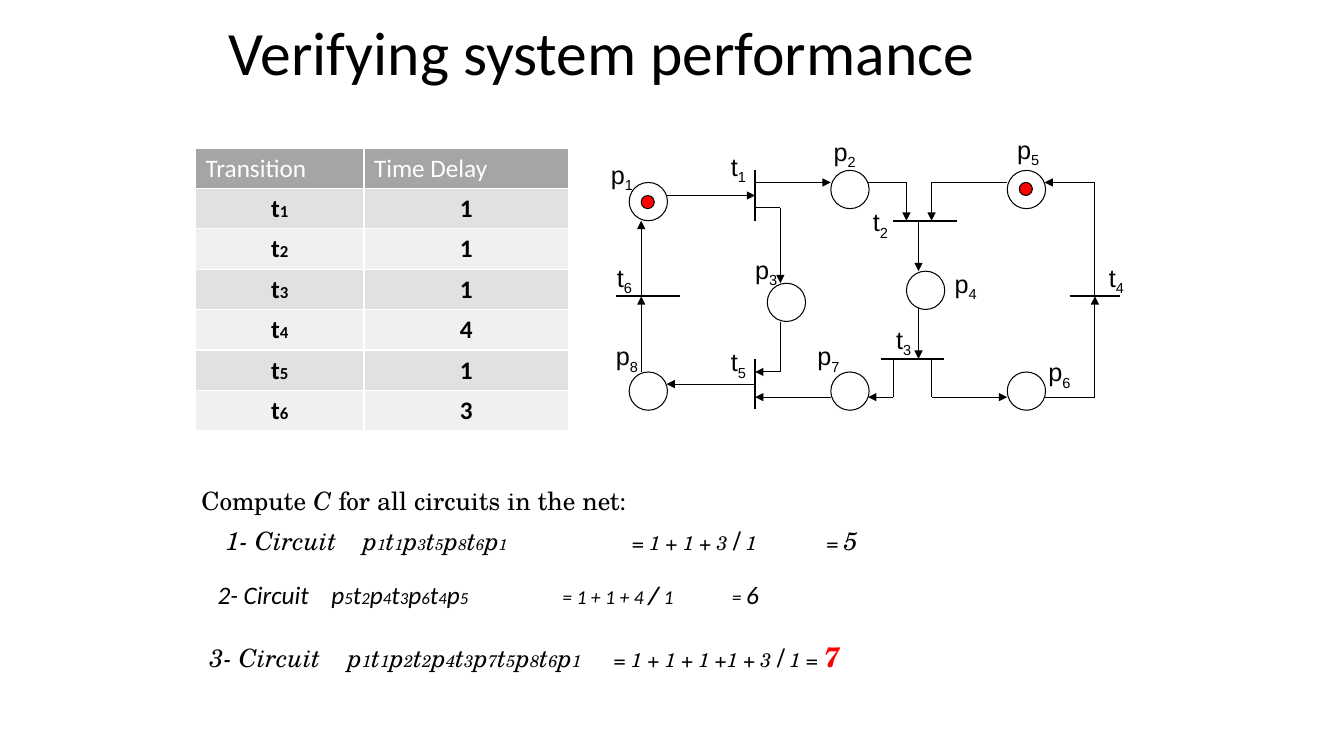
from dataclasses import dataclass

from lxml import etree
from pptx import Presentation
from pptx.dml.color import RGBColor
from pptx.enum.shapes import MSO_CONNECTOR, MSO_SHAPE
from pptx.enum.text import MSO_ANCHOR, PP_ALIGN
from pptx.oxml.ns import qn
from pptx.util import Inches, Pt

STRAIGHT = MSO_CONNECTOR.STRAIGHT
OVAL = MSO_SHAPE.OVAL
MIDDLE = MSO_ANCHOR.MIDDLE
CENTER = PP_ALIGN.CENTER


@dataclass(frozen=True)
class Theme:
    black: str = "000000"
    white: str = "FFFFFF"
    red: str = "FF0000"
    header: str = "A5A5A5"
    bands: tuple = ("E1E1E1", "F0F0F0")
    sans: str = "Calibri"
    serif: str = "TeX Gyre Schola"
    label: str = "Arial"
    title: float = 44
    result: float = 20
    body: float = 18
    formula: float = 14
    index: float = 12
    arc: float = 0.75
    bar: float = 1.5


THEME = Theme()
PLACE_SIZE = 0.38
TOKEN_SIZE = 0.13

DELAYS = [("1", "1"), ("2", "1"), ("3", "1"), ("4", "4"), ("5", "1"), ("6", "3")]
PLACES = [(6.24, 1.81), (8.24, 1.69), (7.61, 2.81), (8.99, 2.69),
          (9.99, 1.69), (9.99, 3.69), (8.24, 3.69), (6.24, 3.69)]
TOKENS = [(6.36, 1.94), (10.11, 1.81)]
LABELS = {
    "p1": (5.96, 1.53), "p2": (8.17, 1.3), "p3": (7.39, 2.47), "p4": (9.37, 2.61),
    "p5": (9.99, 1.28), "p6": (10.3, 3.49), "p7": (8.01, 3.33), "p8": (6.01, 3.33),
    "t1": (7.15, 1.45), "t2": (8.56, 2), "t3": (8.79, 3.17),
    "t4": (10.9, 2.55), "t5": (7.15, 3.39), "t6": (6.02, 2.55),
}
TRANSITIONS = [
    [(7.49, 2.19), (7.49, 1.69)], [(8.86, 2.19), (9.49, 2.19)],
    [(8.74, 3.56), (9.36, 3.56)], [(10.61, 2.94), (11.11, 2.94)],
    [(7.49, 4.06), (7.49, 3.56)], [(6.11, 2.94), (6.74, 2.94)],
]
ARCS = [
    [(6.36, 2.94), (6.36, 2.19)],
    [(6.36, 3.69), (6.36, 2.94)],
    [(6.61, 1.94), (7.49, 1.94)],
    [(7.49, 2.06), (7.74, 2.06), (7.74, 2.81)],
    [(7.74, 3.19), (7.74, 3.69), (7.49, 3.69)],
    [(7.49, 3.81), (6.61, 3.81)],
    [(7.49, 1.81), (8.24, 1.81)],
    [(8.24, 3.94), (7.49, 3.94)],
    [(8.61, 1.81), (8.99, 1.81), (8.99, 2.19)],
    [(9.11, 2.19), (9.11, 2.69)],
    [(9.11, 3.06), (9.11, 3.56)],
    [(8.86, 3.56), (8.86, 3.94), (8.61, 3.94)],
    [(9.99, 1.81), (9.24, 1.81), (9.24, 2.19)],
    [(9.24, 3.56), (9.24, 3.94), (9.99, 3.94)],
    [(10.86, 2.94), (10.86, 1.81), (10.36, 1.81)],
    [(10.36, 3.94), (10.86, 3.94), (10.86, 2.94)],
]


def add_text(paragraph, text, size=THEME.body, font=THEME.sans, color=THEME.black,
             bold=False, italic=False, baseline=0):
    run = paragraph.add_run()
    run.text = text
    run.font.size = Pt(size)
    run.font.name = font
    run.font.color.rgb = RGBColor.from_string(color)
    run.font.bold = bold
    run.font.italic = italic
    if baseline:
        run.font._element.set("baseline", str(baseline * 1000))


def add_box(slide, left, top, width, height, wrap=True):
    box = slide.shapes.add_textbox(Inches(left), Inches(top), Inches(width), Inches(height))
    box.text_frame.word_wrap = wrap
    return box.text_frame


def add_title(slide):
    frame = add_box(slide, 2.17, 0.13, 8.67, 0.85)
    frame.vertical_anchor = MIDDLE
    paragraph = frame.paragraphs[0]
    paragraph.line_spacing = 0.9
    add_text(paragraph, "Verifying system performance", size=THEME.title)


def add_delay_table(slide):
    frame = slide.shapes.add_table(len(DELAYS) + 1, 2, Inches(1.94), Inches(1.47),
                                   Inches(3.7), Inches(2.8))
    table = frame.table
    for column, width in zip(table.columns, (1.67, 2.03)):
        column.width = Inches(width)
    for cell, heading in zip(table.rows[0].cells, ("Transition", "Time Delay")):
        fill_cell(cell, THEME.header)
        add_text(cell.text_frame.paragraphs[0], heading, color=THEME.white)
    for row, (index, delay) in enumerate(DELAYS, start=1):
        for cell in table.rows[row].cells:
            fill_cell(cell, THEME.bands[(row - 1) % 2])
            cell.text_frame.paragraphs[0].alignment = CENTER
        name, value = (cell.text_frame.paragraphs[0] for cell in table.rows[row].cells)
        add_text(name, "t", bold=True)
        add_text(name, index, size=THEME.index, bold=True)
        add_text(value, delay, bold=True)


def fill_cell(cell, color):
    cell.fill.solid()
    cell.fill.fore_color.rgb = RGBColor.from_string(color)


def add_circle(slide, left, top, size, color):
    circle = slide.shapes.add_shape(OVAL, Inches(left), Inches(top), Inches(size), Inches(size))
    circle.shadow.inherit = False
    circle.fill.solid()
    circle.fill.fore_color.rgb = RGBColor.from_string(color)
    circle.line.color.rgb = RGBColor.from_string(THEME.black)
    circle.line.width = Pt(THEME.arc)


def add_path(slide, points, width, arrow=False):
    for start, end in zip(points, points[1:]):
        line = slide.shapes.add_connector(STRAIGHT, *map(Inches, start + end))
        line.line.color.rgb = RGBColor.from_string(THEME.black)
        line.line.width = Pt(width)
        if arrow and end == points[-1]:
            etree.SubElement(line.line._get_or_add_ln(), qn("a:tailEnd"), type="triangle")
        etree.SubElement(line._element.spPr, qn("a:effectLst"))


def add_label(slide, name, left, top):
    width = 0.44 if name[0] == "p" else 0.36
    paragraph = add_box(slide, left, top, width, 0.4, wrap=False).paragraphs[0]
    add_text(paragraph, name[0], font=THEME.label)
    add_text(paragraph, name[1], font=THEME.label, baseline=-25)


def add_net(slide):
    for name, (left, top) in LABELS.items():
        add_label(slide, name, left, top)
    for left, top in PLACES:
        add_circle(slide, left, top, PLACE_SIZE, THEME.white)
    for points in TRANSITIONS:
        add_path(slide, points, THEME.bar)
    for points in ARCS:
        add_path(slide, points, THEME.arc, arrow=True)
    for left, top in TOKENS:
        add_circle(slide, left, top, TOKEN_SIZE, THEME.red)


def add_circuit(slide, area, heading, nodes, delays, tokens, tabs, font=THEME.serif,
                index_size=THEME.index, **result):
    paragraph = add_box(slide, *area).paragraphs[0]
    paragraph.space_before = Pt(12)
    stops = etree.SubElement(paragraph._p.get_or_add_pPr(), qn("a:tabLst"))
    for position in tabs:
        etree.SubElement(stops, qn("a:tab"), pos=str(Inches(position)), algn="l")
    style = {"font": font, "italic": True}
    add_text(paragraph, heading + "\t", **style)
    for character in nodes:
        size = index_size if character.isdigit() else THEME.body
        add_text(paragraph, character, size=size, **style)
    add_text(paragraph, f"\t= {delays} ", size=THEME.formula, **style)
    add_text(paragraph, "/", bold=True, **style)
    add_text(paragraph, tokens, size=THEME.formula, **style)
    add_text(paragraph, **(style | result))


def add_circuits(slide):
    intro = add_box(slide, 1.9, 4.77, 4.53, 0.71).paragraphs[0]
    intro.space_before = Pt(12)
    add_text(intro, "Compute ", font=THEME.serif)
    add_text(intro, "C ", font=THEME.serif, italic=True)
    add_text(intro, "for all circuits in the net:", font=THEME.serif)
    add_circuit(slide, (2.14, 5.16, 6.95, 0.71), "1- Circuit", "p1t1p3t5p8t6p1",
                "1 + 1 + 3", " 1\t= ", (1.36, 4.03, 5.96), index_size=11, text="5")
    add_circuit(slide, (2.06, 5.7, 8.2, 0.75), "2- Circuit", "p5t2p4t3p6t4p5",
                "1 + 1 + 4", " 1\t= ", (1.13, 3.42, 5.1), font=THEME.sans, text="6")
    add_circuit(slide, (1.98, 6.29, 8.91, 1.21), "3- Circuit", "p1t1p2t2p4t3p7t5p8t6p1",
                "1 + 1 + 1 +1 + 3", " 1 = ", (1.37, 4.01),
                text="7", size=THEME.result, color=THEME.red, bold=True)


def main():
    presentation = Presentation()
    presentation.slide_width = Inches(13.33)
    presentation.slide_height = Inches(7.5)
    slide = presentation.slides.add_slide(presentation.slide_layouts[6])
    add_title(slide)
    add_delay_table(slide)
    add_net(slide)
    add_circuits(slide)
    presentation.save("out.pptx")


if __name__ == "__main__":
    main()
